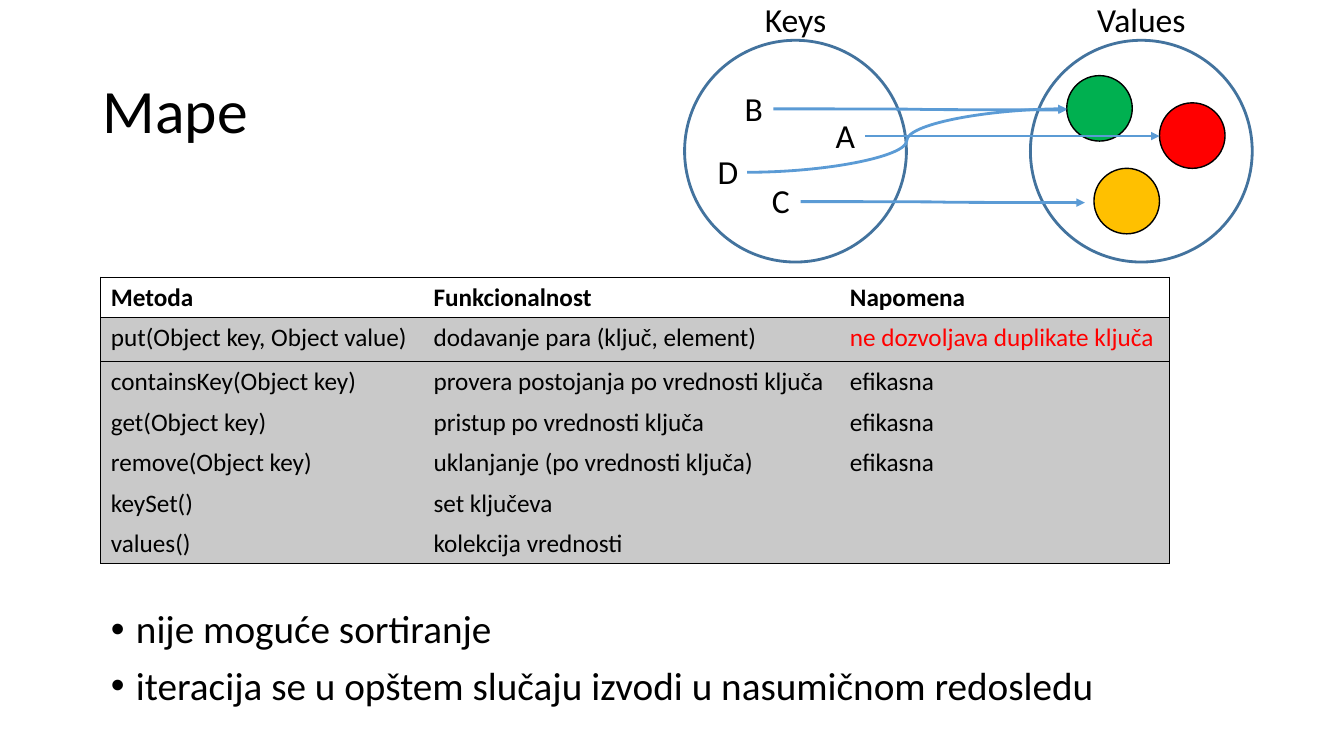
from dataclasses import dataclass
from pptx import Presentation
from pptx import util as u
from pptx.dml.color import RGBColor
from pptx.enum import shapes, text
from pptx.oxml import ns
from lxml import etree


@dataclass(frozen=True)
class Theme:
    """Colours, font and type sizes of the slide."""
    font: str = "Calibri"
    ink: str = "000000"
    alert: str = "FF0000"
    shade: str = "C9C9C9"
    ring: str = "43739E"
    arrow: str = "5B9BD5"
    green: str = "00B050"
    red: str = "FF0000"
    amber: str = "FFC000"
    title: int = 44
    body: int = 28
    label: int = 24
    cell: int = 18


T = Theme()
ROWS = [
    ("Metoda", "Funkcionalnost", "Napomena"),
    ("put(Object key, Object value)", "dodavanje para (ključ, element)",
     "ne dozvoljava duplikate ključa"),
    ("containsKey(Object key)", "provera postojanja po vrednosti ključa", "efikasna"),
    ("get(Object key)", "pristup po vrednosti ključa", "efikasna"),
    ("remove(Object key)", "uklanjanje (po vrednosti ključa)", "efikasna"),
    ("keySet()", "set ključeva", ""),
    ("values()", "kolekcija vrednosti", ""),
]
NOTES = ["nije moguće sortiranje",
         "iteracija se u opštem slučaju izvodi u nasumičnom redosledu"]


def rgb(color):
    """Turn a hex string into a colour."""
    return RGBColor.from_string(color)


def sub(parent, tag, **attrs):
    """Append a DrawingML element to a parent."""
    return etree.SubElement(parent, ns.qn(f"a:{tag}"), **attrs)


def write(p, words, size, color=T.ink, bold=False, align=None, spacing=None, before=None):
    """Put formatted text in a paragraph."""
    p.alignment, p.line_spacing = align, spacing
    if before is not None:
        p.space_before = u.Pt(before)
    r = p.add_run()
    r.text = words
    r.font.name, r.font.size, r.font.bold = T.font, u.Pt(size), bold
    r.font.color.rgb = rgb(color)


def text_frame(s, box, wrap=True, anchor=text.MSO_ANCHOR.TOP):
    """Add a text box and return its frame."""
    tf = s.shapes.add_textbox(*map(u.Inches, box)).text_frame
    tf.word_wrap, tf.vertical_anchor = wrap, anchor
    return tf


def add_title(s, box):
    """Slide title, centred vertically in its box."""
    tf = text_frame(s, box, anchor=text.MSO_ANCHOR.MIDDLE)
    write(tf.paragraphs[0], "Mape", T.title, spacing=0.9)


def add_notes(s, box):
    """Bulleted remarks below the table."""
    tf = text_frame(s, box)
    for i, note in enumerate(NOTES):
        p = tf.add_paragraph() if i else tf.paragraphs[0]
        write(p, note, T.body, spacing=0.9, before=10)
        pPr = p._p.get_or_add_pPr()
        indent = u.Inches(0.25)
        pPr.set("marL", str(indent))
        pPr.set("indent", str(-indent))
        sub(pPr, "buFont", typeface="Arial")
        sub(pPr, "buChar", char="•")


def set_borders(cell, sides):
    """Draw the given sides (of L, R, T, B) and clear the others."""
    tcPr = cell._tc.get_or_add_tcPr()
    for side in "LRTB":
        ln = sub(tcPr, f"ln{side}", w=str(u.Pt(1)))
        if side in sides:
            sub(sub(ln, "solidFill"), "srgbClr", val=T.ink)
        else:
            sub(ln, "noFill")


def add_methods(s, box):
    """Table of map methods."""
    widths = (3.2, 4.13, 3.27)
    last_row, last_col = len(ROWS) - 1, len(widths) - 1
    table = s.shapes.add_table(len(ROWS), len(widths), *map(u.Inches, box)).table
    table.first_row = table.horz_banding = False
    for col, width in zip(table.columns, widths):
        col.width = u.Inches(width)
    for i, words in enumerate(ROWS):
        table.rows[i].height = u.Inches(0.44 if i == 1 else 0.4)
        for j, word in enumerate(words):
            cell = table.cell(i, j)
            sides = {"L": j == 0, "R": j == last_col,
                     "T": i <= 2, "B": i in (0, 1, last_row)}
            set_borders(cell, [side for side, on in sides.items() if on])
            if i:
                cell.fill.solid()
                cell.fill.fore_color.rgb = rgb(T.shade)
            else:
                cell.fill.background()
            p = cell.text_frame.paragraphs[0]
            if word:
                write(p, word, T.cell, bold=i == 0,
                      color=T.alert if (i, j) == (1, last_col) else T.ink)
            else:
                p.font.size = u.Pt(T.cell)


def add_circle(s, x, y, size, line, width, fill=None):
    """Circle with an outline and an optional fill."""
    sp = s.shapes.add_shape(shapes.MSO_SHAPE.OVAL, *map(u.Inches, (x, y, size, size)))
    sp.shadow.inherit = False
    if fill:
        sp.fill.solid()
        sp.fill.fore_color.rgb = rgb(fill)
    else:
        sp.fill.background()
    sp.line.color.rgb, sp.line.width = rgb(line), u.Pt(width)


def add_arrow(s, start, end):
    """Curved arrow from a key to a value."""
    c = s.shapes.add_connector(shapes.MSO_CONNECTOR.CURVE, *map(u.Inches, start + end))
    c.line.color.rgb, c.line.width = rgb(T.arrow), u.Pt(2)
    sub(c.line._get_or_add_ln(), "tailEnd", type="triangle")
    sub(c._element.spPr, "effectLst")


def add_label(s, x, y, width, words):
    """Centred diagram label."""
    tf = text_frame(s, (x, y, width, 0.5), wrap=False)
    write(tf.paragraphs[0], words, T.label, align=text.PP_ALIGN.CENTER)


def add_mapping(s, box):
    """Keys and values as two sets joined by arrows."""
    left, top, width, height = box
    ring = height
    values_x = left + width - ring
    for x, name, label_width in ((left, "Keys", 0.82), (values_x, "Values", 1.09)):
        add_circle(s, x, top, ring, T.ring, 2)
        add_label(s, x + (ring - label_width) / 2, top - 0.46, label_width, name)
    for x, y, color in ((1.28, 0.62, T.red), (0.36, 0.35, T.green), (0.63, 1.27, T.amber)):
        add_circle(s, values_x + x, top + y, 0.65, T.ink, 1, color)
    # key, label place, arrow start height, arrow end
    keys = (("B", 0.49, 0.42, 0.68, (3.79, 0.69)), ("A", 1.4, 0.69, 0.95, (4.71, 0.95)),
            ("C", 0.76, 1.34, 1.6, (3.97, 1.61)), ("D", 0.23, 1.05, 1.31, (3.79, 0.68)))
    for key, x, y, start_y, (end_x, end_y) in keys:
        add_label(s, left + x, top + y, 0.39, key)
        add_arrow(s, (left + x + 0.39, top + start_y), (left + end_x, top + end_y))


def main():
    """Build and save the slide."""
    prs = Presentation()
    prs.slide_width, prs.slide_height = u.Inches(13.33), u.Inches(7.5)
    s = prs.slides.add_slide(prs.slide_layouts[6])
    add_title(s, (0.92, 0.4, 11.5, 1.45))
    add_methods(s, (1, 2.75, 10.6, 2.84))
    add_notes(s, (1, 6, 10.01, 1.11))
    add_mapping(s, (6.79, 0.4, 5.63, 2.2))
    prs.save("out.pptx")


main()
